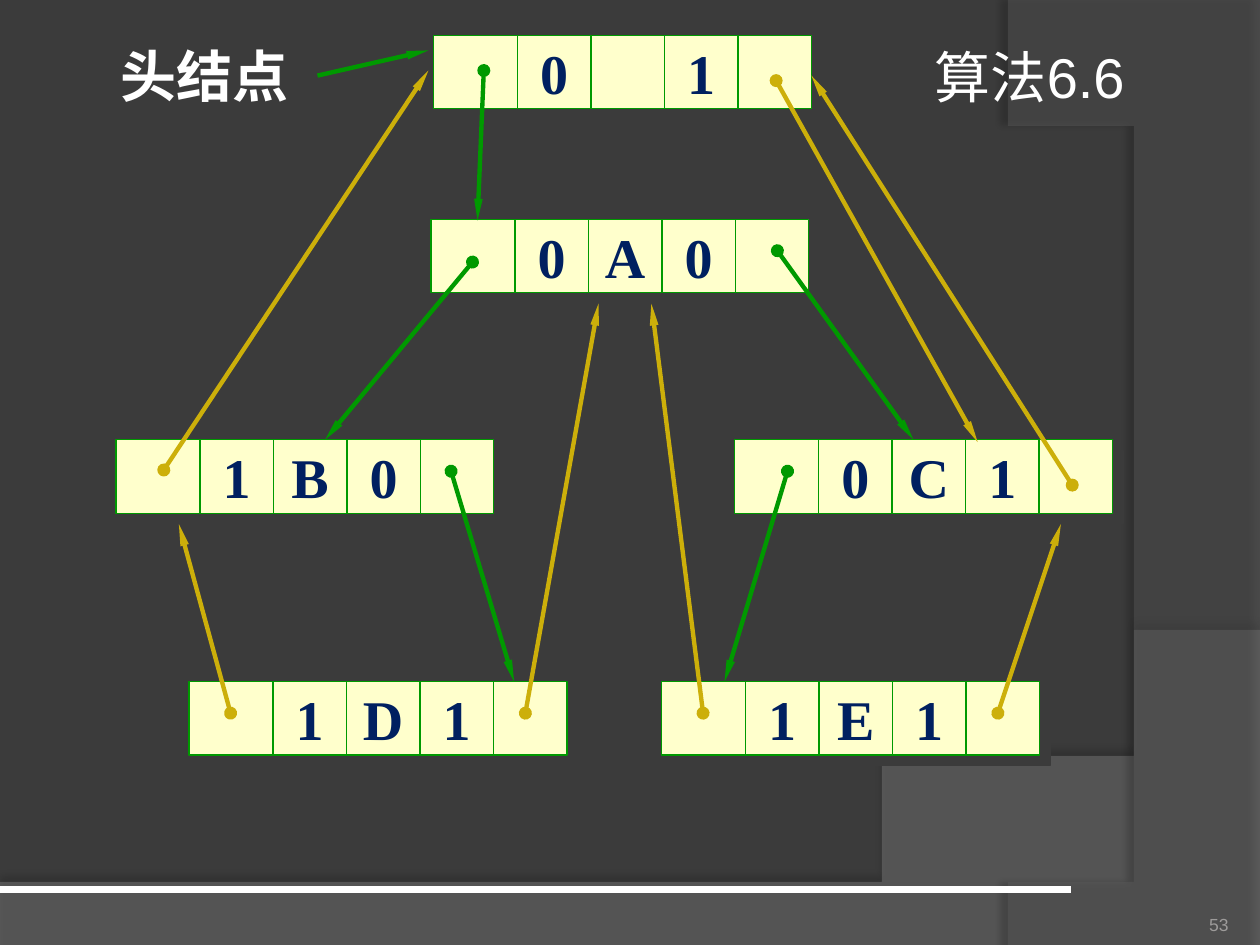
import pptx
import pptx.dml.color
import pptx.enum.shapes
import pptx.enum.text
import pptx.oxml
import pptx.oxml.ns
import pptx.util
from pptx.util import Inches

COLORS = {
    "background": "3B3B3B", "swoosh": "7F7F7F", "side": "5E5E5E", "black": "000000",
    "white": "FFFFFF", "cell": "FFFFCC", "child": "009900", "thread": "CCAF0A",
    "key": "002060", "number": "9D9B9A",
}
ALIGN = pptx.enum.text.PP_ALIGN
ANCHOR = pptx.enum.text.MSO_ANCHOR
KEY_FONT = {"size": 32, "name": "Times New Roman", "bold": True}
FIRST_FIELD, FIELD, NODE_HEIGHT = 2 / 3, 7 / 12, 7 / 12

NODES = [
    (3.42, 1.74, "0A0"),
    (0.92, 3.49, "1B0"),
    (5.83, 3.49, "0C1"),
    (1.5, 5.41, "1D1"),
    (5.25, 5.41, "1E1"),
    (3.44, 0.28, ["0", "", "1"]),
]
LINKS = {
    "child": [
        (3.75, 2.08, 2.58, 3.49), (6.17, 1.99, 7.25, 3.49),
        (3.58, 3.74, 4.08, 5.41), (6.25, 3.74, 5.75, 5.41),
        (3.84, 0.56, 3.79, 1.75),
    ],
    "thread": [
        (1.83, 5.66, 1.42, 4.16), (4.17, 5.66, 4.75, 2.41),
        (5.58, 5.66, 5.17, 2.41), (7.92, 5.66, 8.42, 4.16),
        (1.3, 3.73, 3.4, 0.56), (8.51, 3.85, 6.44, 0.6),
        (6.16, 0.64, 7.76, 3.51),
    ],
}


def rgb(name):
    """Return the palette colour called name."""
    return pptx.dml.color.RGBColor.from_string(COLORS[name])


def element(xml):
    """Parse one DrawingML element."""
    return pptx.oxml.parse_xml(xml.replace(" ", f" {pptx.oxml.ns.nsdecls('a')} ", 1))


def paint(shape, fill, opacity=100):
    """Fill a shape with a colour of the given opacity in percent."""
    shape.fill.solid()
    shape.fill.fore_color.rgb = rgb(fill)
    if opacity < 100:
        color = shape.fill._xPr.find(".//" + pptx.oxml.ns.qn("a:srgbClr"))
        color.append(element(f'<a:alpha val="{opacity * 1000}"/>'))


def cast_shadow(shape, color, opacity, blur, distance, angle):
    """Give a shape an outer shadow, with lengths in points."""
    shape.shadow.inherit = False
    effects = shape._element.spPr.find(pptx.oxml.ns.qn("a:effectLst"))
    effects.append(element(
        f'<a:outerShdw blurRad="{pptx.util.Pt(blur)}" dist="{pptx.util.Pt(distance)}" '
        f'dir="{angle * 60000}" algn="ctr" rotWithShape="0"><a:srgbClr val="{COLORS[color]}">'
        f'<a:alpha val="{opacity * 1000}"/></a:srgbClr></a:outerShdw>'))


def add_text(slide, box, text, color, font, align=ALIGN.CENTER, anchor=ANCHOR.MIDDLE, inset=0):
    """Place one line of text in a box."""
    frame = slide.shapes.add_textbox(*map(Inches, box)).text_frame
    layout = {"word_wrap": True, "vertical_anchor": anchor}
    layout.update({f"margin_{side}": Inches(inset) for side in ("left", "right", "top", "bottom")})
    for name, value in layout.items():
        setattr(frame, name, value)
    paragraph = frame.paragraphs[0]
    paragraph.alignment = align
    run = paragraph.add_run()
    run.text = text
    for name, value in {**font, "size": pptx.util.Pt(font["size"])}.items():
        setattr(run.font, name, value)
    run.font.color.rgb = rgb(color)


def add_line(slide, ends, color, width, dot=False, arrow=False):
    """Draw a straight line, with an optional dot at its start and arrow at its end."""
    line = slide.shapes.add_connector(
        pptx.enum.shapes.MSO_CONNECTOR.STRAIGHT, *map(Inches, ends))
    line.line.color.rgb = rgb(color)
    line.line.width = pptx.util.Pt(width)
    outline = line.line._get_or_add_ln()
    if dot:
        outline.append(element('<a:headEnd type="oval" w="med" len="med"/>'))
    if arrow:
        outline.append(element('<a:tailEnd type="triangle" w="sm" len="lg"/>'))
    line._element.spPr.append(element("<a:effectLst />"))


def curve(start, first, second, end, steps=60):
    """Return points along a cubic curve."""
    return [
        tuple((1 - t) ** 3 * a + 3 * (1 - t) ** 2 * t * b + 3 * (1 - t) * t ** 2 * c + t ** 3 * d
              for a, b, c, d in zip(start, first, second, end))
        for t in (step / steps for step in range(steps + 1))
    ]


def add_swoosh(slide, points, fill, opacity, shadow):
    """Draw a translucent background band through the points."""
    builder = slide.shapes.build_freeform(*points[0], scale=Inches(1))
    builder.add_line_segments(points[1:], close=True)
    band = builder.convert_to_shape()
    paint(band, fill, opacity)
    band.line.fill.background()
    cast_shadow(band, *shadow)


def add_backdrop(slide, width, height):
    """Draw the background, its two bands, the rule and the page number."""
    slide.background.fill.solid()
    slide.background.fill.fore_color.rgb = rgb("background")
    lower = curve((width, 5.2), (5.59, 7.29), (3.91, 7.19), (0, 7.05))
    add_swoosh(slide, [(0, height), (width, height), *lower], "swoosh", 45,
               ("black", 35, 4, 3.5, 270))
    side = curve((8.21, height), (9.35, 6.19), (10.18, 3), (8, 0))
    add_swoosh(slide, [(width, 0.02), (width, height), *side], "side", 40,
               ("black", 45, 4, 4, 180))
    add_line(slide, (0, 7.06, 8.5, 7.06), "white", 4.5)
    add_text(slide, (8.92, 7.02, 0.83, 0.4), "53", "number", {"size": 10, "name": "Arial"},
             ALIGN.RIGHT, ANCHOR.BOTTOM)


def add_node(slide, left, top, fields):
    """Draw a tree node: left link, left tag, key, right tag and right link."""
    width = FIRST_FIELD + 4 * FIELD
    body = slide.shapes.add_shape(
        pptx.enum.shapes.MSO_SHAPE.RECTANGLE, *map(Inches, (left, top, width, NODE_HEIGHT)))
    paint(body, "cell")
    body.line.color.rgb = rgb("child")
    body.line.width = pptx.util.Pt(0.75)
    cast_shadow(body, "background", 100, 0, 8.5, 45)
    edges = [left + FIRST_FIELD + index * FIELD for index in range(4)]
    for edge in edges:
        add_line(slide, (edge, top, edge, top + NODE_HEIGHT), "child", 0.75)
    for edge, field in zip(edges, fields):
        if field:
            add_text(slide, (edge, top, FIELD, NODE_HEIGHT), field, "key", KEY_FONT)


def add_headings(slide):
    """Place the head node label with its arrow and the algorithm title."""
    add_text(slide, (0.85, 0.28, 1.55, 0.64), "头结点", "white", KEY_FONT)
    add_line(slide, (2.52, 0.6, 3.4, 0.4), "child", 2.5, arrow=True)
    add_text(slide, (7.32, 0.24, 2.36, 0.64), "算法6.6", "white",
             {"size": 32, "name": "Arial"}, ALIGN.LEFT, ANCHOR.TOP, 0.1)


def main():
    """Build the threaded binary tree slide."""
    deck = pptx.Presentation()
    deck.slide_width, deck.slide_height = Inches(10), Inches(7.5)
    slide = deck.slides.add_slide(deck.slide_layouts[6])
    add_backdrop(slide, 10, 7.5)
    for node in NODES:
        add_node(slide, *node)
    for kind, links in LINKS.items():
        for ends in links:
            add_line(slide, ends, kind, 2.5, dot=True, arrow=True)
    add_headings(slide)
    deck.save("out.pptx")


if __name__ == "__main__":
    main()
